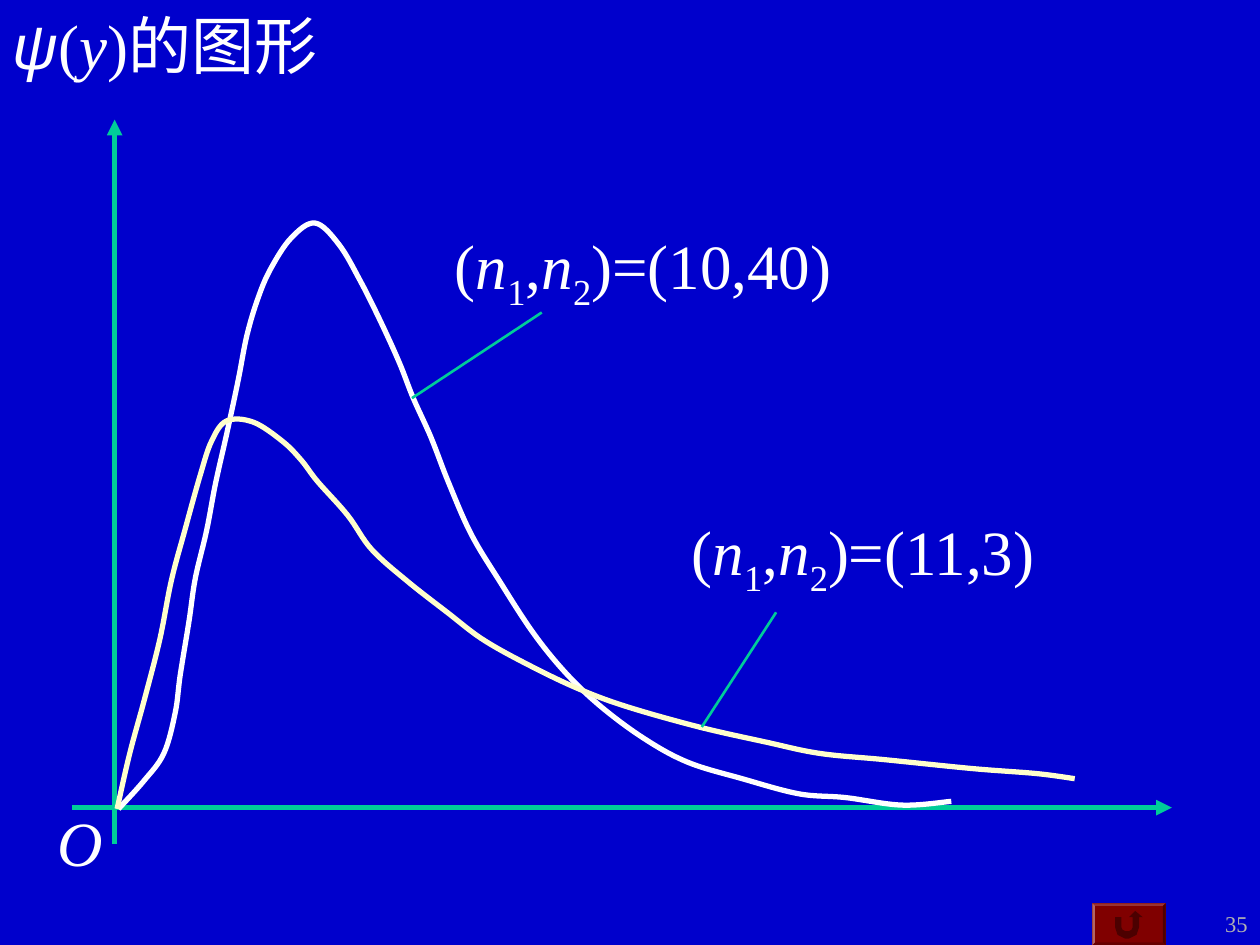
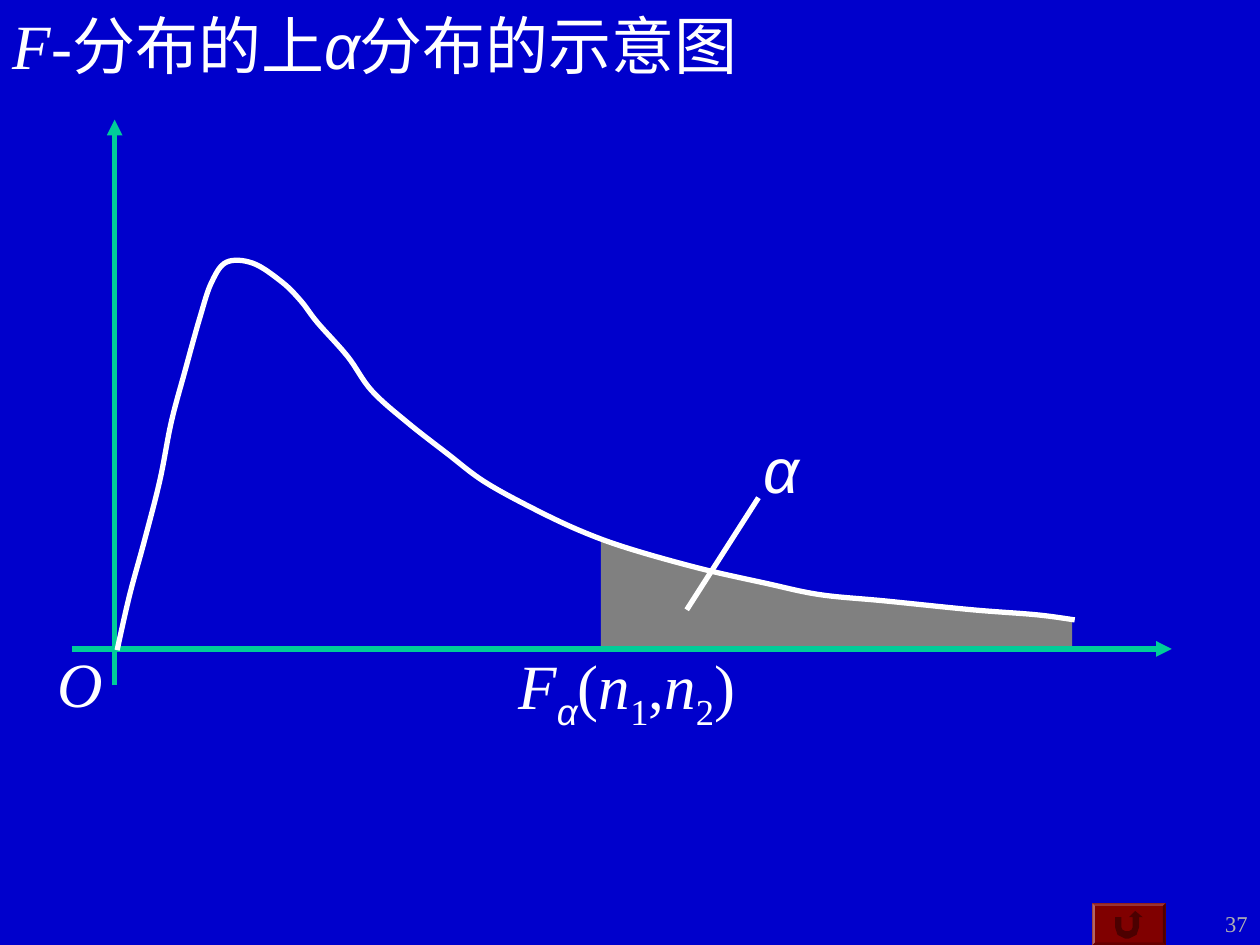
from dataclasses import dataclass

from lxml import etree
from pptx import Presentation
from pptx.dml.color import RGBColor
from pptx.enum.shapes import MSO_CONNECTOR
from pptx.enum.text import MSO_ANCHOR, PP_ALIGN
from pptx.oxml.ns import qn
from pptx.util import Inches, Pt

STRAIGHT = MSO_CONNECTOR.STRAIGHT
MIDDLE, TOP = MSO_ANCHOR.MIDDLE, MSO_ANCHOR.TOP
LEFT, CENTER, RIGHT = PP_ALIGN.LEFT, PP_ALIGN.CENTER, PP_ALIGN.RIGHT
TITLE_ONLY = 5


@dataclass(frozen=True)
class Theme:
    """Colours, fonts, type sizes and line widths of the deck."""
    background: str = "0000CC"
    text: str = "FFFFFF"
    page_number: str = "B2B2B2"
    axis: str = "00CC99"
    second_curve: str = "FFFFCC"
    tail_area: str = "808080"
    button: str = "800000"
    roman: str = "Times New Roman"
    greek: str = "Arial"
    body_size: float = 36
    page_size: float = 12.9
    heavy: float = 3
    thin: float = 1.5


THEME = Theme()
RUN_STYLES = {
    "roman": {"name": THEME.roman, "italic": False},
    "italic": {"name": THEME.roman, "italic": True},
    "greek": {"name": THEME.greek, "italic": True},
    "sub": {"name": THEME.roman, "italic": False},
    "greek sub": {"name": THEME.greek, "italic": True},
}
SIZE_PAIR = [("n", "italic"), ("1", "sub"), (",", "roman"), ("n", "italic"), ("2", "sub")]

TALL_CURVE = [
    (0.03, -0.01), (0.23, 0.21), (0.39, 0.43), (0.48, 0.75), (0.52, 1.05),
    (0.59, 1.48), (0.64, 1.82), (0.73, 2.2), (0.8, 2.57), (0.89, 2.97),
    (0.98, 3.39), (1.05, 3.75), (1.14, 4.05), (1.24, 4.28), (1.4, 4.52),
    (1.59, 4.64), (1.78, 4.47), (1.95, 4.18), (2.11, 3.86), (2.26, 3.53),
    (2.37, 3.25), (2.51, 2.94), (2.65, 2.58), (2.83, 2.17), (3.06, 1.79),
    (3.32, 1.39), (3.57, 1.08), (3.85, 0.81), (4.2, 0.55), (4.55, 0.36),
    (4.98, 0.23), (5.43, 0.11), (5.8, 0.08), (6.25, 0.02), (6.64, 0.05),
]
LONG_CURVE = [
    (0.02, -0.01), (0.12, 0.43), (0.24, 0.87), (0.36, 1.34), (0.45, 1.8),
    (0.56, 2.21), (0.68, 2.64), (0.77, 2.91), (0.89, 3.07), (1.1, 3.06),
    (1.33, 2.91), (1.48, 2.76), (1.61, 2.59), (1.85, 2.32), (2.04, 2.05),
    (2.32, 1.8), (2.64, 1.55), (2.93, 1.33), (3.31, 1.12), (3.69, 0.94),
    (4.07, 0.8), (4.64, 0.64), (5.17, 0.52), (5.6, 0.43), (6.12, 0.38),
    (6.81, 0.31), (7.32, 0.27), (7.62, 0.23),
]
TAIL_AREA = [
    (3.86, 0), (3.86, 0.87), (4.27, 0.75), (4.89, 0.58), (5.33, 0.49),
    (5.9, 0.39), (6.62, 0.32), (7.04, 0.29), (7.45, 0.25), (7.6, 0.23), (7.6, 0),
]
RETURN_ARROW = [
    (0.18, 0.11), (0.23, 0.11), (0.23, 0.19), (0.24, 0.21), (0.26, 0.22),
    (0.29, 0.22), (0.31, 0.21), (0.32, 0.19), (0.32, 0.11), (0.29, 0.11),
    (0.34, 0.06), (0.4, 0.11), (0.37, 0.11), (0.37, 0.19), (0.35, 0.25),
    (0.29, 0.28), (0.26, 0.28), (0.2, 0.25), (0.18, 0.19),
]


def apply(target, formats):
    """Set each named format value on the target."""
    for name, value in formats.items():
        setattr(target, name, value)


def write(frame, runs, align, anchor, size=THEME.body_size, color=THEME.text):
    """Write styled runs into the single paragraph of a text frame."""
    apply(frame, {"vertical_anchor": anchor, "word_wrap": True})
    paragraph = frame.paragraphs[0]
    paragraph.alignment = align
    for text, style in runs:
        run = paragraph.add_run()
        run.text = text
        apply(run.font, {"size": Pt(size), "bold": False, **RUN_STYLES[style]})
        run.font.color.rgb = RGBColor.from_string(color)
        if style.endswith("sub"):
            run.font._element.set("baseline", "-25000")


def add_label(slide, box, runs, align=CENTER, **formats):
    """Add a text box that fills the given box."""
    label = slide.shapes.add_textbox(*map(Inches, box))
    write(label.text_frame, runs, align, TOP, **formats)


def add_line(slide, start, end, color, width, arrow=False):
    """Draw a straight line, with an arrowhead at its end if asked."""
    line = slide.shapes.add_connector(STRAIGHT, *map(Inches, (*start, *end)))
    line.line.color.rgb = RGBColor.from_string(color)
    line.line.width = Pt(width)
    properties = line._element.spPr
    if arrow:
        etree.SubElement(properties.find(qn("a:ln")), qn("a:tailEnd"), type="triangle")
    etree.SubElement(properties, qn("a:effectLst"))


def add_outline(slide, contours, closed):
    """Build a freeform without shadow from contours in slide inches."""
    places = [[(Inches(x), Inches(y)) for x, y in contour] for contour in contours]
    builder = slide.shapes.build_freeform(*places[0][0])
    for index, contour in enumerate(places):
        if index:
            builder.move_to(*contour[0])
        builder.add_line_segments(contour[1:], close=closed)
    outline = builder.convert_to_shape()
    outline.shadow.inherit = False
    return outline


def from_origin(origin, points):
    """Turn points measured right and up from the origin into slide inches."""
    left, base = origin
    return [(left + x, base - y) for x, y in points]


def bend(outline):
    """Replace the straight segments by Catmull-Rom cubic curves."""
    segments = list(outline._element.iter(qn("a:moveTo"), qn("a:lnTo")))
    knots = [(int(point.get("x")), int(point.get("y")))
             for segment in segments for point in segment]
    padded = [knots[0], *knots, knots[-1]]
    neighbours = zip(padded, padded[1:], padded[2:], padded[3:])
    for segment, (before, start, end, after) in zip(segments[1:], neighbours):
        segment.tag = qn("a:cubicBezTo")
        leaving = [s + (e - b) / 6 for b, s, e in zip(before, start, end)]
        arriving = [e - (a - s) / 6 for s, e, a in zip(start, end, after)]
        for place, (x, y) in enumerate((leaving, arriving)):
            control = etree.Element(qn("a:pt"), x=str(round(x)), y=str(round(y)))
            segment.insert(place, control)


def add_curve(slide, origin, knots, color):
    """Draw a smooth density curve."""
    curve = add_outline(slide, [from_origin(origin, knots)], False)
    bend(curve)
    curve.fill.background()
    curve.line.color.rgb = RGBColor.from_string(color)
    curve.line.width = Pt(THEME.heavy)


def paint(outline, color):
    """Fill an outline with one colour and no border."""
    outline.fill.solid()
    outline.fill.fore_color.rgb = RGBColor.from_string(color)
    outline.line.fill.background()


def add_axes(slide, origin):
    """Draw both axes through the origin and mark it with O."""
    left, base = origin
    add_line(slide, (left - 0.34, base), (left + 8.39, base), THEME.axis, THEME.heavy, True)
    add_line(slide, (left, base + 0.29), (left, 0.95), THEME.axis, THEME.heavy, True)
    add_label(slide, (left - 0.55, base - 0.08, 0.56, 0.7), [("O", "italic")])


def add_return_button(slide, box):
    """Draw a bevelled button with a return arrow, shading each facet."""
    left, top, width, height = box
    rim = 0.02
    outer = [(0, 0), (width, 0), (width, height), (0, height)]
    inner = [(rim, rim), (width - rim, rim),
             (width - rim, height - rim), (rim, height - rim)]
    facets = [[outer[i], outer[(i + 1) % 4], inner[(i + 1) % 4], inner[i]]
              for i in range(4)]
    contours = [[(left + x, top + y) for x, y in contour]
                for contour in (outer, *facets, RETURN_ARROW)]
    button = add_outline(slide, contours, True)
    paint(button, THEME.button)
    whole = next(button._element.iter(qn("a:path")))
    shades = iter(["norm", "lightenLess", "darken", "darkenLess", "lighten", "darken"])
    for segment in list(whole):
        if segment.tag == qn("a:moveTo"):
            facet = etree.SubElement(whole.getparent(), qn("a:path"), w=whole.get("w"),
                                     h=whole.get("h"), fill=next(shades))
        facet.append(segment)
    whole.getparent().remove(whole)


def add_footer(slide, box, page):
    """Place the return button and the page number in the footer box."""
    left, top, width, height = box
    add_return_button(slide, (left, top, 0.58, height))
    add_label(slide, (left + width - 0.67, top, 0.67, height), [(page, "roman")],
              RIGHT, size=THEME.page_size, color=THEME.page_number)


def add_titled_slide(deck, title_runs, page):
    """Add a slide with its title and footer."""
    slide = deck.slides.add_slide(deck.slide_layouts[TITLE_ONLY])
    title = slide.shapes.title
    apply(title, {"left": 0, "top": 0, "width": Inches(10), "height": Inches(0.75)})
    title.text_frame.margin_bottom = Inches(0.1)
    write(title.text_frame, title_runs, LEFT, MIDDLE)
    add_footer(slide, (8.67, 7.17, 1.33, 0.33), page)
    return slide


def density_slide(deck, origin):
    """Compare the densities for two pairs of degrees of freedom."""
    title = [("ψ", "greek"), ("(", "roman"), ("y", "italic"), (")的图形", "roman")]
    slide = add_titled_slide(deck, title, "35")
    add_axes(slide, origin)
    left, base = origin
    curves = [
        (TALL_CURVE, THEME.text, ")=(10,40)", (2.48, 4.66, 3.43),
         [(2.36, 3.25), (3.39, 3.93)]),
        (LONG_CURVE, THEME.second_curve, ")=(11,3)", (4.27, 2.39, 3.34),
         [(4.66, 0.64), (5.25, 1.55)]),
    ]
    for knots, color, values, (x, y, width), leader in curves:
        add_curve(slide, origin, knots, color)
        add_label(slide, (left + x, base - y, width, 0.79),
                  [("(", "roman"), *SIZE_PAIR, (values, "roman")])
        add_line(slide, *from_origin(origin, leader), THEME.axis, THEME.thin)


def quantile_slide(deck, origin):
    """Show the upper quantile as the area under the tail."""
    title = [("F-", "italic"), ("分布的上", "roman"), ("α", "greek"),
             ("分布的示意图", "roman")]
    slide = add_titled_slide(deck, title, "37")
    left, base = origin
    paint(add_outline(slide, [from_origin(origin, TAIL_AREA)], True), THEME.tail_area)
    add_axes(slide, origin)
    add_curve(slide, origin, LONG_CURVE, THEME.text)
    add_label(slide, (left + 3.1, base - 0.07, 1.93, 0.79),
              [("F", "italic"), ("α", "greek sub"), ("(", "roman"),
               *SIZE_PAIR, (")", "roman")])
    leader = from_origin(origin, [(4.54, 0.31), (5.11, 1.2)])
    add_line(slide, *leader, THEME.text, THEME.heavy)
    add_label(slide, (left + 5.04, base - 1.78, 0.51, 0.7), [("α", "greek")])


def main():
    """Build the deck and save it."""
    deck = Presentation()
    apply(deck, {"slide_width": Inches(10), "slide_height": Inches(7.5)})
    background = deck.slide_master.background.fill
    background.solid()
    background.fore_color.rgb = RGBColor.from_string(THEME.background)
    density_slide(deck, (0.91, 6.41))
    quantile_slide(deck, (0.91, 5.15))
    deck.save("out.pptx")


if __name__ == "__main__":
    main()
